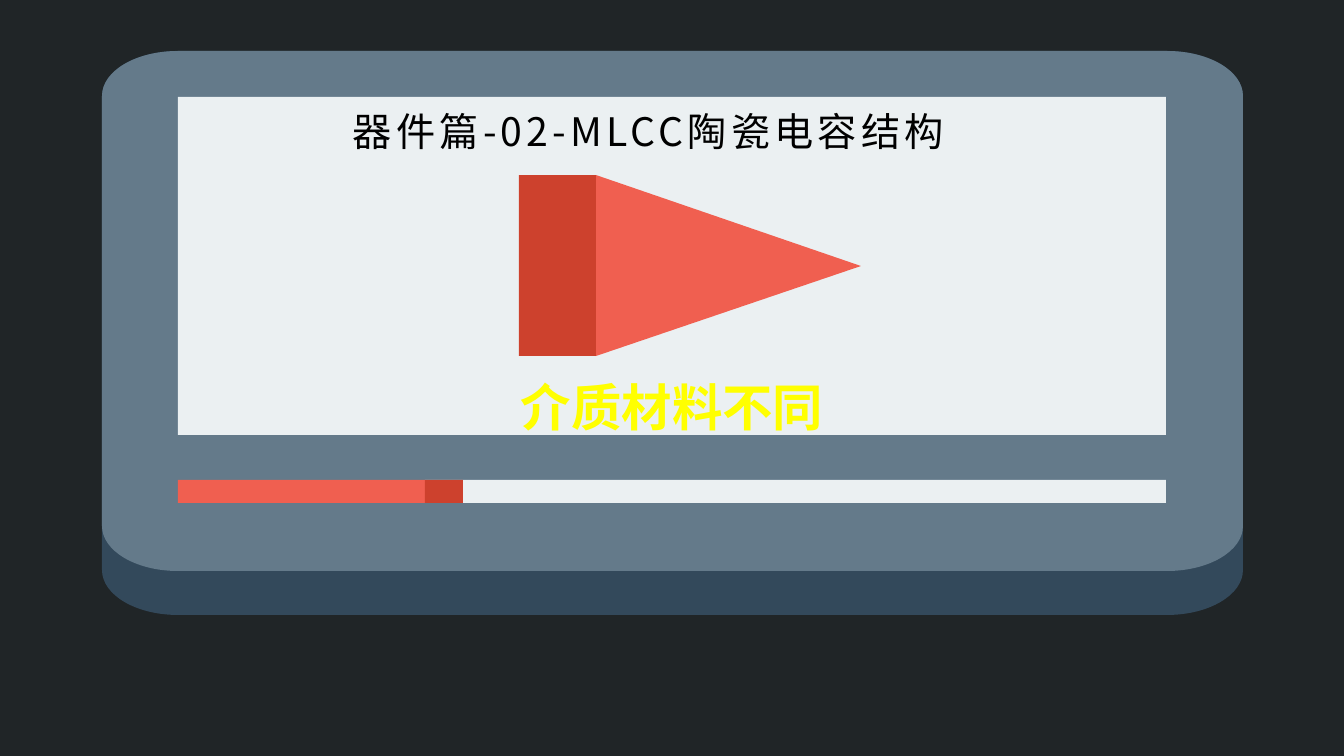
import pptx
import pptx.dml.color
import pptx.enum.shapes
import pptx.enum.text
import pptx.oxml.ns
import pptx.util
from lxml import etree

SLIDE_W, SLIDE_H = 1344, 756
EMU_PER_PX = 12192000 / SLIDE_W
CORNER_W, CORNER_H = 76, 45
ARC_PULL = 0.55
NIGHT, NAVY, SLATE, PALE = "202527", "33495B", "647A8A", "EBF0F2"
CORAL, BRICK, YELLOW, BLACK = "F05F50", "CD412D", "FFFF00", "000000"


def px(length):
    return pptx.util.Emu(round(length * EMU_PER_PX))


def color(hex_code):
    return pptx.dml.color.RGBColor.from_string(hex_code)


def paint(shape, fill):
    shape.shadow.inherit = False
    shape.fill.solid()
    shape.fill.fore_color.rgb = color(fill)
    shape.line.fill.background()


def add_block(slide, left, top, width, height, fill):
    block = slide.shapes.add_shape(
        pptx.enum.shapes.MSO_SHAPE.RECTANGLE,
        px(left), px(top), px(width), px(height))
    paint(block, fill)


def add_outline(slide, points, fill):
    builder = slide.shapes.build_freeform(*points[0], scale=EMU_PER_PX)
    builder.add_line_segments(points[1:], close=True)
    outline = builder.convert_to_shape()
    paint(outline, fill)
    return outline


def add_casing(slide, left, top, width, height, fill):
    """Draw a box with four curved corners, each a single Bezier segment."""
    right, bottom = left + width, top + height
    corners = [(right, bottom, -1, -1), (left, bottom, 1, -1),
               (left, top, 1, 1), (right, top, -1, 1)]
    near = 1 - ARC_PULL
    points = []
    for index, (x, y, inward_x, inward_y) in enumerate(corners):
        reach_x, reach_y = inward_x * CORNER_W, inward_y * CORNER_H
        arc = [(x, y + reach_y), (x, y + near * reach_y),
               (x + near * reach_x, y), (x + reach_x, y)]
        points += arc if index % 2 == 0 else arc[::-1]
    casing = add_outline(slide, points, fill)
    segments = list(casing.element.iter(pptx.oxml.ns.qn("a:lnTo")))
    for start in range(0, len(points), 4):
        first, second, last = segments[start:start + 3]
        curve = etree.Element(pptx.oxml.ns.qn("a:cubicBezTo"))
        first.addprevious(curve)
        for segment in (first, second, last):
            curve.append(segment[0])
            segment.getparent().remove(segment)


def add_play_sign(slide, left, top, width, height):
    stem = 77
    add_outline(slide, [(left + stem, top + height), (left + stem, top),
                        (left + width, top + height / 2)], CORAL)
    add_block(slide, left, top, stem, height, BRICK)


def add_progress_bar(slide, left, top, width, height):
    played = width // 4
    add_block(slide, left + played, top, width - played, height, PALE)
    add_block(slide, left, top, played, height, CORAL)
    add_block(slide, left + played, top, 38, height, BRICK)


def add_player(slide, left, top, width, height):
    add_casing(slide, left, top, width, height, NAVY)
    add_casing(slide, left, top, width, height - 44, SLATE)
    inner_left, inner_width = left + CORNER_W, width - 2 * CORNER_W - 1
    add_block(slide, inner_left, top + 46, inner_width, 338, PALE)
    add_play_sign(slide, left + 417, top + 124, 342, 181)
    add_progress_bar(slide, inner_left, top + 429, inner_width, 23)


def write(box, text, *, font, size, fill, bold=False, align="LEFT",
          line_spacing=1.0, tracking=0, inset=0):
    """Fill a text box or placeholder; tracking is in points, inset in px."""
    frame = box.text_frame
    frame.word_wrap = True
    frame.auto_size = pptx.enum.text.MSO_AUTO_SIZE.SHAPE_TO_FIT_TEXT
    frame.vertical_anchor = pptx.enum.text.MSO_ANCHOR.TOP
    frame.margin_left = frame.margin_right = px(10)
    frame.margin_top = frame.margin_bottom = px(inset)
    paragraph = frame.paragraphs[0]
    paragraph.alignment = getattr(pptx.enum.text.PP_ALIGN, align)
    paragraph.line_spacing = line_spacing
    run = paragraph.add_run()
    run.text = text
    run.font.size = pptx.util.Pt(size)
    run.font.bold = bold
    run.font.color.rgb = color(fill)
    run.font.name = font
    properties = run._r.get_or_add_rPr()
    if tracking:
        properties.set("spc", str(tracking * 100))
    east_asian = etree.SubElement(properties, pptx.oxml.ns.qn("a:ea"))
    east_asian.set("typeface", font)


def add_caption(slide, left, top, width, height):
    caption = slide.shapes.add_textbox(px(left), px(top), px(width), px(height))
    write(caption, "介质材料不同", font="Noto Sans CJK SC", size=36,
          fill=YELLOW, bold=True, align="CENTER", line_spacing=1.5, inset=5)


def place_title(slide, left, top, width, height):
    """Put the title over the screen, in front of the player."""
    title = slide.shapes.title
    title.left, title.top = px(left), px(top)
    title.width, title.height = px(width), px(height)
    write(title, "器件篇-02-MLCC陶瓷电容结构", font="Noto Sans CJK JP",
          size=28, fill=BLACK, tracking=3)
    slide.shapes.element.append(title.element)


def main():
    deck = pptx.Presentation()
    deck.slide_width, deck.slide_height = px(SLIDE_W), px(SLIDE_H)
    slide = deck.slides.add_slide(deck.slide_layouts.get_by_name("Title Only"))
    slide.background.fill.solid()
    slide.background.fill.fore_color.rgb = color(NIGHT)
    add_player(slide, 102, 51, 1141, 564)
    add_caption(slide, 336, 341, 672, 92)
    place_title(slide, 343, 107, 659, 57)
    deck.save("out.pptx")


if __name__ == "__main__":
    main()
